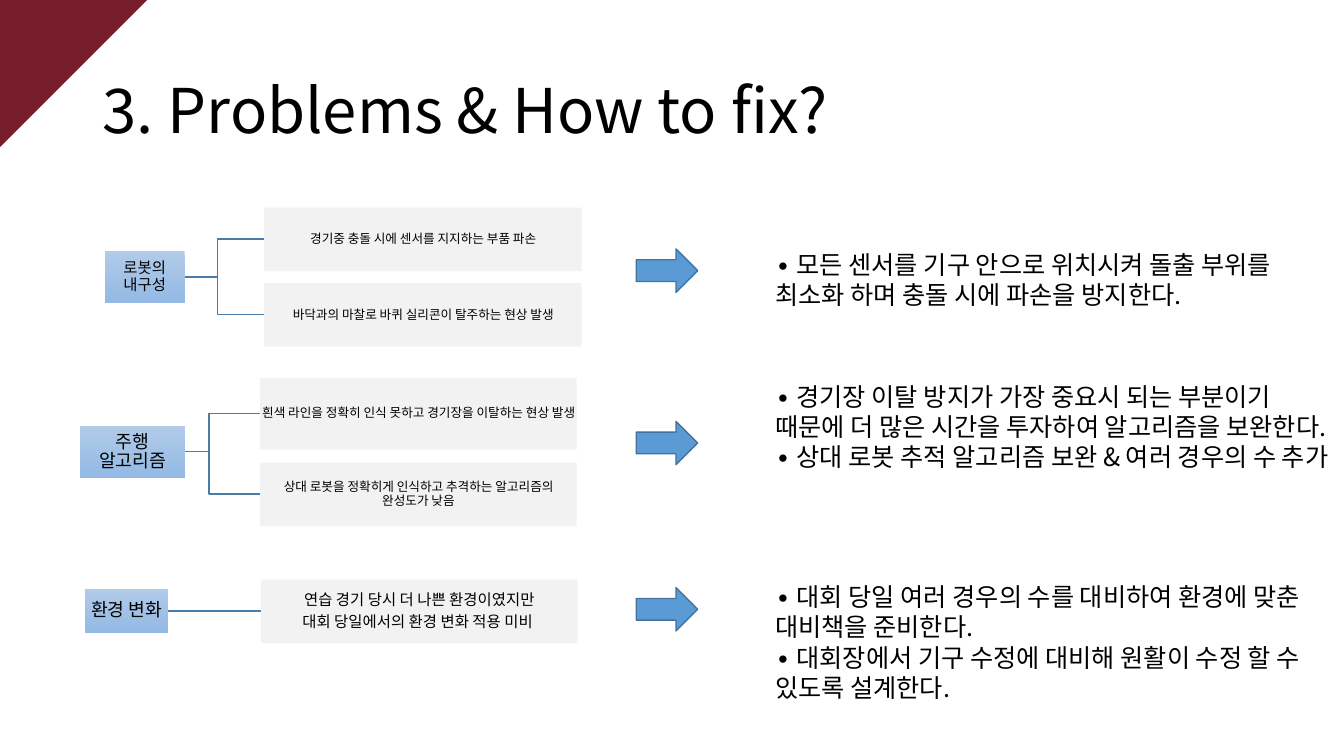
from lxml import etree
from pptx import Presentation
from pptx.dml.color import RGBColor
from pptx.enum.shapes import MSO_CONNECTOR as Link, MSO_SHAPE as Shape
from pptx.enum.text import MSO_ANCHOR as Anchor, MSO_AUTO_SIZE as Fit, PP_ALIGN as Align
from pptx.oxml.ns import qn
from pptx.util import Pt

PX = 9144
THEME = {
    "font": "Noto Sans CJK KR",
    "text": RGBColor.from_string("000000"),
    "corner": RGBColor.from_string("781D2C"),
    "link": RGBColor.from_string("497CAB"),
    "label": [RGBColor.from_string("B1CBE9"), RGBColor.from_string("93B9E4")],
    "problem": RGBColor.from_string("F2F2F2"),
    "arrow": RGBColor.from_string("5B9BD5"),
    "arrow_line": RGBColor.from_string("43739E"),
    "title_size": 44,
    "fix_size": 18,
    "large": 13,
    "medium": 11,
    "small": 9,
}


def write(box, lines, size, align=Align.LEFT, anchor=Anchor.TOP, inset=None, spacing=None, after=0):
    frame = box.text_frame
    frame.word_wrap = True
    frame.vertical_anchor = anchor
    if inset is not None:
        frame.margin_left = frame.margin_right = inset * PX
        frame.margin_top = frame.margin_bottom = inset * PX
    for index, line in enumerate(lines):
        para = frame.paragraphs[0] if index == 0 else frame.add_paragraph()
        para.alignment = align
        para.line_spacing = spacing
        para.space_after = Pt(after * size)
        span = para.add_run()
        span.text = line
        span.font.size = Pt(size)
        span.font.color.rgb = THEME["text"]
        span.font.name = THEME["font"]
        east_asian = etree.SubElement(span.font._element, qn("a:ea"))
        east_asian.set("typeface", THEME["font"])


def add_block(page, kind, area, fill=None, line=None):
    block = page.shapes.add_shape(kind, *[value * PX for value in area])
    block.shadow.inherit = False
    if isinstance(fill, list):
        block.fill.gradient()
        block.fill.gradient_angle = 270
        for stop, color in zip(block.fill.gradient_stops, fill):
            stop.color.rgb = color
    else:
        block.fill.solid()
        block.fill.fore_color.rgb = fill
    if line is None:
        block.line.fill.background()
    else:
        block.line.color.rgb = line
        block.line.width = Pt(1)
    return block


deck = Presentation()
deck.slide_width, deck.slide_height = 1333 * PX, 750 * PX
page = deck.slides.add_slide(deck.slide_layouts[6])

corner = add_block(page, Shape.RIGHT_TRIANGLE, (0, 0, 146, 146), fill=THEME["corner"])
corner.rotation = 90

title = page.shapes.add_textbox(92 * PX, 40 * PX, 1150 * PX, 145 * PX)
write(title, ["3. Problems & How to fix?"], THEME["title_size"], anchor=Anchor.MIDDLE, spacing=0.9)

topics = [
    {
        "label": "로봇의 내구성", "label_area": (104, 249, 79, 52), "label_size": THEME["medium"],
        "link_start": 170, "problem_size": THEME["small"],
        "problems": [
            ((262, 206, 315, 63), ["경기중 충돌 시에 센서를 지지하는 부품 파손"]),
            ((262, 281, 315, 63), ["바닥과의 마찰로 바퀴 실리콘이 탈주하는 현상 발생"]),
        ],
        "arrow_top": 247, "fix_top": 242, "fix_height": 71,
        "fixes": ["∙ 모든 센서를 기구 안으로 위치시켜 돌출 부위를 최소화 하며 충돌 시에 파손을 방지한다."],
    },
    {
        "label": "주행 알고리즘", "label_area": (79, 423, 105, 51), "label_size": THEME["large"],
        "link_start": 157, "problem_size": THEME["small"],
        "problems": [
            ((258, 375, 314, 71), ["흰색 라인을 정확히 인식 못하고 경기장을 이탈하는 현상 발생"]),
            ((258, 459, 314, 63), ["상대 로봇을 정확히게 인식하고 추격하는 알고리즘의 완성도가 낮음"]),
        ],
        "arrow_top": 418, "fix_top": 373, "fix_height": 162,
        "fixes": [
            "∙ 경기장 이탈 방지가 가장 중요시 되는 부분이기 때문에 더 많은 시간을 투자하여 알고리즘을 보완한다.",
            "∙ 상대 로봇 추적 알고리즘 보완 & 여러 경우의 수 추가",
        ],
    },
    {
        "label": "환경 변화", "label_area": (84, 584, 83, 44), "label_size": THEME["large"],
        "link_start": 147, "problem_size": THEME["medium"],
        "problems": [
            ((259, 575, 314, 63), ["연습 경기 당시 더 나쁜 환경이였지만", "대회 당일에서의 환경 변화 적용 미비 "]),
        ],
        "arrow_top": 583, "fix_top": 572, "fix_height": 131,
        "fixes": [
            "∙ 대회 당일 여러 경우의 수를 대비하여 환경에 맞춘 대비책을 준비한다.",
            "∙ 대회장에서 기구 수정에 대비해 원활이 수정 할 수 있도록 설계한다.",
        ],
    },
]

centred = {"align": Align.CENTER, "anchor": Anchor.MIDDLE, "inset": 1, "spacing": 0.9, "after": 0.35}

for topic in topics:
    label_area = topic["label_area"]
    label_middle = label_area[1] + label_area[3] // 2
    link_kind = Link.ELBOW if len(topic["problems"]) > 1 else Link.STRAIGHT

    for (left, top, width, height), lines in topic["problems"]:
        link_end = label_middle if link_kind == Link.STRAIGHT else top + height // 2
        link = page.shapes.add_connector(
            link_kind, topic["link_start"] * PX, label_middle * PX, left * PX, link_end * PX)
        link.line.color.rgb = THEME["link"]
        link.line.width = Pt(1)
        etree.SubElement(link._element.spPr, qn("a:effectLst"))
        problem = add_block(page, Shape.RECTANGLE, (left, top, width, height), fill=THEME["problem"])
        write(problem, lines, topic["problem_size"], **centred)

    label = add_block(page, Shape.RECTANGLE, label_area, fill=THEME["label"])
    write(label, [topic["label"]], topic["label_size"], **centred)

    add_block(page, Shape.RIGHT_ARROW, (631, topic["arrow_top"], 61, 43),
              fill=THEME["arrow"], line=THEME["arrow_line"])

    fix = page.shapes.add_textbox(759 * PX, topic["fix_top"] * PX, 574 * PX, topic["fix_height"] * PX)
    write(fix, topic["fixes"], THEME["fix_size"])
    fix.text_frame.auto_size = Fit.SHAPE_TO_FIT_TEXT

deck.save("out.pptx")
